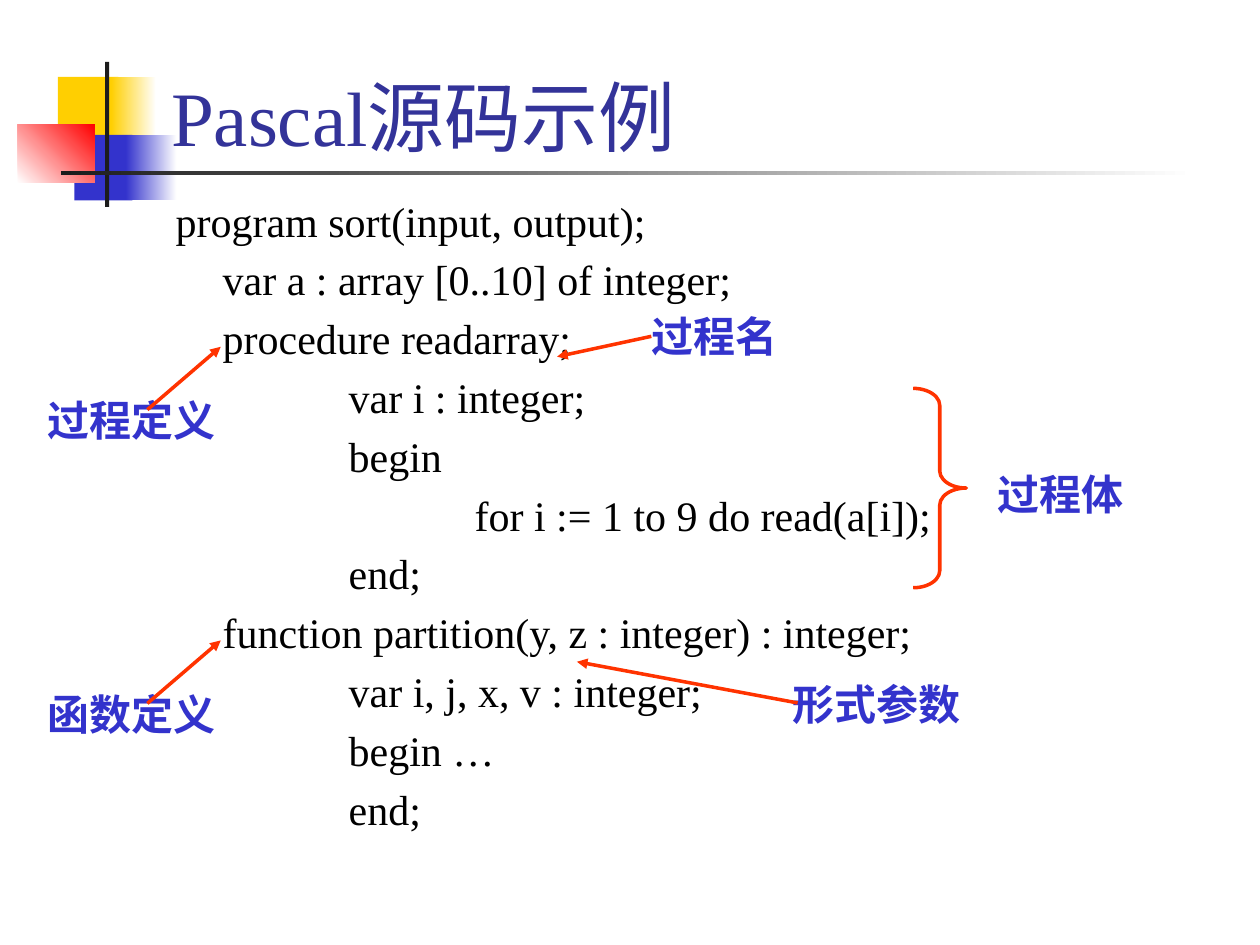
from dataclasses import dataclass

from lxml.etree import SubElement
from pptx import Presentation
from pptx.dml.color import RGBColor
from pptx.enum.shapes import MSO_CONNECTOR, MSO_SHAPE
from pptx.enum.text import MSO_ANCHOR, PP_ALIGN
from pptx.oxml.ns import qn
from pptx.util import Cm, Pt


@dataclass(frozen=True)
class Theme:
    yellow: str = "FFCF01"
    blue: str = "3333CC"
    red: str = "FF0000"
    white: str = "FFFFFF"
    dark: str = "1C1C1C"
    title: str = "333399"
    code: str = "000000"
    accent: str = "FF3300"
    serif: str = "Times New Roman"
    sans: str = "Roboto"
    title_size: int = 44
    text_size: int = 24
    line_width: int = 2


THEME = Theme()

CODE = [
    "program sort(input, output);",
    "\tvar a : array [0..10] of integer;",
    "\tprocedure readarray;",
    "\t\tvar i : integer;",
    "\t\tbegin",
    "\t\t\tfor i := 1 to 9 do read(a[i]);",
    "\t\tend;",
    "\tfunction partition(y, z : integer) : integer;",
    "\t\tvar i, j, x, v : integer;",
    "\t\tbegin …",
    "\t\tend;",
]


def write_text(frame, lines, *, font, size, color, bold=False,
               align=PP_ALIGN.LEFT, space_before=0, hanging=0, tab_size=2.54):
    """Fill a text frame with one paragraph per line."""
    for index, line in enumerate(lines):
        paragraph = frame.add_paragraph() if index else frame.paragraphs[0]
        paragraph.alignment = align
        if hanging:
            properties = paragraph._p.get_or_add_pPr()
            properties.set("marL", str(Cm(hanging)))
            properties.set("indent", str(-Cm(hanging)))
            properties.set("defTabSz", str(Cm(tab_size)))
        if index:
            paragraph.space_before = Pt(space_before)
        run = paragraph.add_run()
        run.text = line
        run.font.name = font
        run.font.size = Pt(size)
        run.font.bold = bold
        run.font.color.rgb = RGBColor.from_string(color)


class SlideBuilder:
    def __init__(self, slide, theme):
        self.slide = slide
        self.theme = theme

    def block(self, left, top, width, height, color, end_color=None, angle=0):
        """Rectangle with a plain fill, or a gradient when end_color is given."""
        shape = self.slide.shapes.add_shape(
            MSO_SHAPE.RECTANGLE, Cm(left), Cm(top), Cm(width), Cm(height))
        shape.shadow.inherit = False
        shape.line.fill.background()
        if end_color:
            shape.fill.gradient()
            shape.fill.gradient_angle = angle
            for stop, stop_color in zip(shape.fill.gradient_stops, (color, end_color)):
                stop.color.rgb = RGBColor.from_string(stop_color)
        else:
            shape.fill.solid()
            shape.fill.fore_color.rgb = RGBColor.from_string(color)

    def text(self, left, top, width, height, lines, anchor=MSO_ANCHOR.TOP, **style):
        box = self.slide.shapes.add_textbox(Cm(left), Cm(top), Cm(width), Cm(height))
        box.text_frame.word_wrap = True
        box.text_frame.vertical_anchor = anchor
        write_text(box.text_frame, lines, **style)

    def label(self, left, top, width, words):
        self.text(left, top, width, 1.27, [words], font=self.theme.sans,
                  size=self.theme.text_size, color=self.theme.blue, bold=True,
                  align=PP_ALIGN.CENTER)

    def outline(self, line):
        line.color.rgb = RGBColor.from_string(self.theme.accent)
        line.width = Pt(self.theme.line_width)

    def arrow(self, start, end):
        connector = self.slide.shapes.add_connector(
            MSO_CONNECTOR.STRAIGHT, *map(Cm, start + end))
        self.outline(connector.line)
        SubElement(connector.line._get_or_add_ln(), qn("a:tailEnd"), type="triangle")
        SubElement(connector._element.spPr, qn("a:effectLst"))

    def brace(self, left, top, width, height):
        shape = self.slide.shapes.add_shape(
            MSO_SHAPE.RIGHT_BRACE, Cm(left), Cm(top), Cm(width), Cm(height))
        shape.shadow.inherit = False
        shape.fill.background()
        shape.adjustments[0] = 0.32
        shape.adjustments[1] = 0.5
        self.outline(shape.line)


def main():
    presentation = Presentation()
    presentation.slide_width = Cm(25.4)
    presentation.slide_height = Cm(19.05)
    slide = presentation.slides.add_slide(presentation.slide_layouts[6])
    builder = SlideBuilder(slide, THEME)

    # Corner ornament and title rule
    builder.block(1.17, 1.55, 1.22, 1.32, THEME.yellow)
    builder.block(2.24, 1.55, 0.91, 1.32, THEME.yellow, THEME.white)
    builder.block(1.5, 2.72, 1.17, 1.32, THEME.blue)
    builder.block(2.54, 2.72, 1.02, 1.32, THEME.blue, THEME.white)
    builder.block(0.36, 2.51, 1.55, 1.18, THEME.white, THEME.red, angle=45)
    builder.block(2.12, 1.25, 0.08, 2.92, THEME.dark)
    builder.block(1.23, 3.45, 22.86, 0.08, THEME.dark, THEME.white)

    # Title and code listing
    builder.text(3.2, 0.2, 21.64, 3.18, ["Pascal源码示例"], anchor=MSO_ANCHOR.BOTTOM,
                 font=THEME.serif, size=THEME.title_size, color=THEME.title)
    builder.text(3.29, 3.81, 21.59, 13.54, CODE, font=THEME.serif,
                 size=THEME.text_size, color=THEME.code, space_before=4.8, hanging=0.95)

    # Labels with their arrows
    builder.label(0.64, 7.82, 4.02, "过程定义")
    builder.arrow((2.97, 8.26), (4.45, 6.99))
    builder.label(12.7, 6.14, 3.39, "过程名")
    builder.arrow((13.13, 6.78), (11.23, 7.19))
    builder.label(15.66, 13.55, 4.02, "形式参数")
    builder.arrow((16.08, 14.17), (11.63, 13.34))
    builder.label(0.64, 13.76, 4.02, "函数定义")
    builder.arrow((2.97, 14.18), (4.45, 12.91))

    # Procedure body
    builder.brace(18.41, 7.83, 1.07, 4.02)
    builder.label(19.69, 9.32, 3.38, "过程体")

    presentation.save("out.pptx")


if __name__ == "__main__":
    main()
